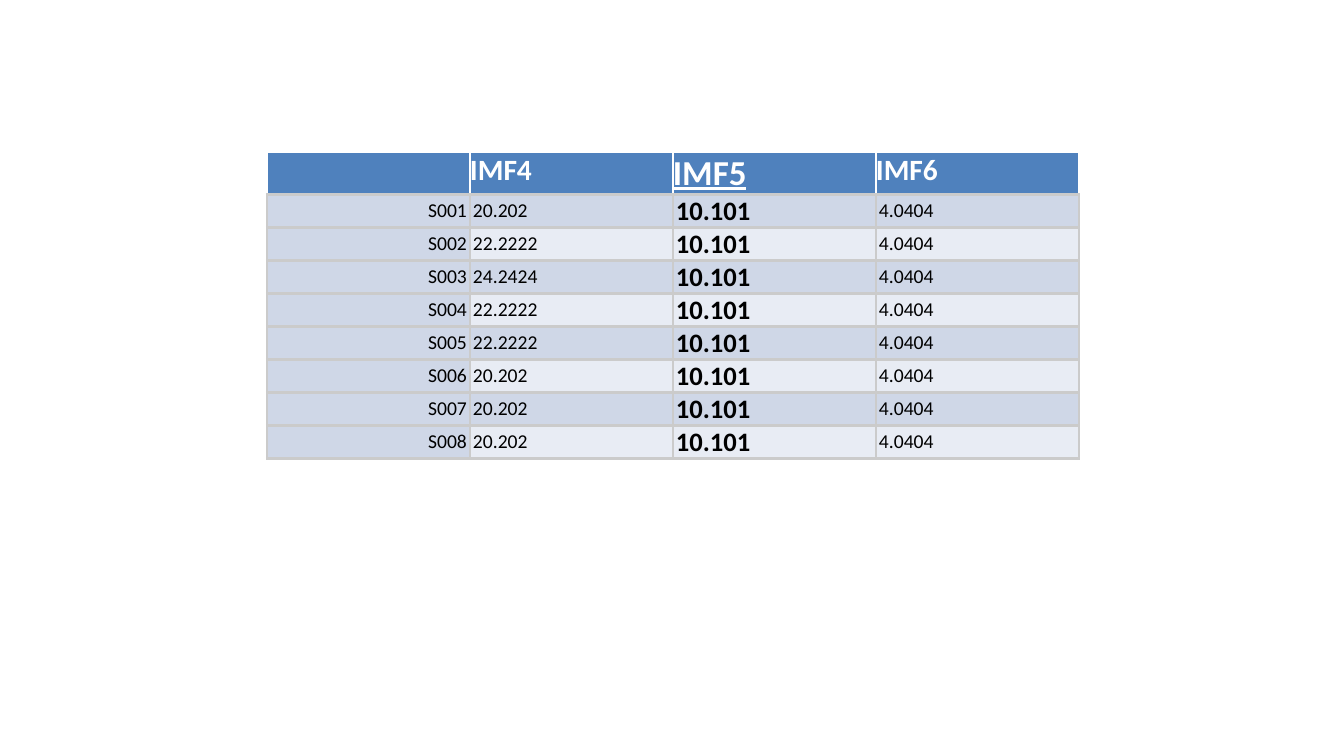
import pptx
import pptx.dml.color
import pptx.enum.text
import pptx.oxml
import pptx.oxml.ns
import pptx.util

HEADINGS = ("", "IMF4", "IMF5", "IMF6")
SUBJECTS = (
    ("S001", "20.202", "10.101", "4.0404"),
    ("S002", "22.2222", "10.101", "4.0404"),
    ("S003", "24.2424", "10.101", "4.0404"),
    ("S004", "22.2222", "10.101", "4.0404"),
    ("S005", "22.2222", "10.101", "4.0404"),
    ("S006", "20.202", "10.101", "4.0404"),
    ("S007", "20.202", "10.101", "4.0404"),
    ("S008", "20.202", "10.101", "4.0404"),
)
SLIDE_WIDTH, SLIDE_HEIGHT = 1344, 756
LEFT, TOP = 267, 152
COLUMN_WIDTH, HEADER_HEIGHT, ROW_HEIGHT = 203, 42, 33
SIDE_MARGIN = 3
SUBJECT_COLUMN, KEY_COLUMN = 0, 2
HEADER_FILL, DARK_BAND, LIGHT_BAND = "4F81BD", "CFD7E7", "E8ECF4"
WHITE, BLACK, GRID = "FFFFFF", "000000", "CBCBCB"
BORDER_POINTS = 2


def px(length):
    return round(length * 914400 / 100.8)


def color(value):
    return pptx.dml.color.RGBColor.from_string(value)


def set_borders(cell, line_color, bottom_color):
    properties = cell._tc.get_or_add_tcPr()
    sides = {"L": line_color, "R": line_color, "T": line_color, "B": bottom_color}
    for position, (side, value) in enumerate(sides.items()):
        line = pptx.oxml.parse_xml(
            f'<a:ln{side} {pptx.oxml.ns.nsdecls("a")} w="{pptx.util.Pt(BORDER_POINTS)}">'
            f'<a:solidFill><a:srgbClr val="{value}"/></a:solidFill></a:ln{side}>'
        )
        properties.insert(position, line)


def fill_cell(cell, text, row, column):
    header, key = row == 0, column == KEY_COLUMN
    if header:
        fill, size, margin = HEADER_FILL, 25 if key else 21, 0
    else:
        dark = row % 2 == 1 or column == SUBJECT_COLUMN
        fill, size, margin = DARK_BAND if dark else LIGHT_BAND, 19 if key else 14, SIDE_MARGIN
    anchors = pptx.enum.text.MSO_ANCHOR
    cell_format = {
        "margin_left": px(margin),
        "margin_right": px(margin),
        "margin_top": 0,
        "margin_bottom": 0,
        "vertical_anchor": anchors.TOP if header else anchors.MIDDLE,
    }
    for name, value in cell_format.items():
        setattr(cell, name, value)
    cell.fill.solid()
    cell.fill.fore_color.rgb = color(fill)
    set_borders(cell, WHITE if header else GRID, GRID)
    if not text:
        return

    para = cell.text_frame.paragraphs[0]
    alignments = pptx.enum.text.PP_ALIGN
    right = column == SUBJECT_COLUMN
    para.alignment = alignments.RIGHT if right else alignments.LEFT
    span = para.add_run()
    span.text = text
    font_format = {
        "name": "Calibri",
        "size": pptx.util.Pt(size),
        "bold": header or key,
        "underline": header and key,
    }
    for name, value in font_format.items():
        setattr(span.font, name, value)
    span.font.color.rgb = color(WHITE if header else BLACK)


def main():
    deck = pptx.Presentation()
    deck.slide_width, deck.slide_height = px(SLIDE_WIDTH), px(SLIDE_HEIGHT)
    page = deck.slides.add_slide(deck.slide_layouts[6])
    rows = (HEADINGS, *SUBJECTS)
    heights = [HEADER_HEIGHT] + [ROW_HEIGHT] * len(SUBJECTS)
    table = page.shapes.add_table(
        len(rows), len(HEADINGS), px(LEFT), px(TOP),
        px(COLUMN_WIDTH * len(HEADINGS)), px(sum(heights)),
    ).table
    for table_column in table.columns:
        table_column.width = px(COLUMN_WIDTH)
    for row, (texts, height) in enumerate(zip(rows, heights)):
        table.rows[row].height = px(height)
        for column, text in enumerate(texts):
            fill_cell(table.cell(row, column), text, row, column)
    deck.save("out.pptx")


if __name__ == "__main__":
    main()
